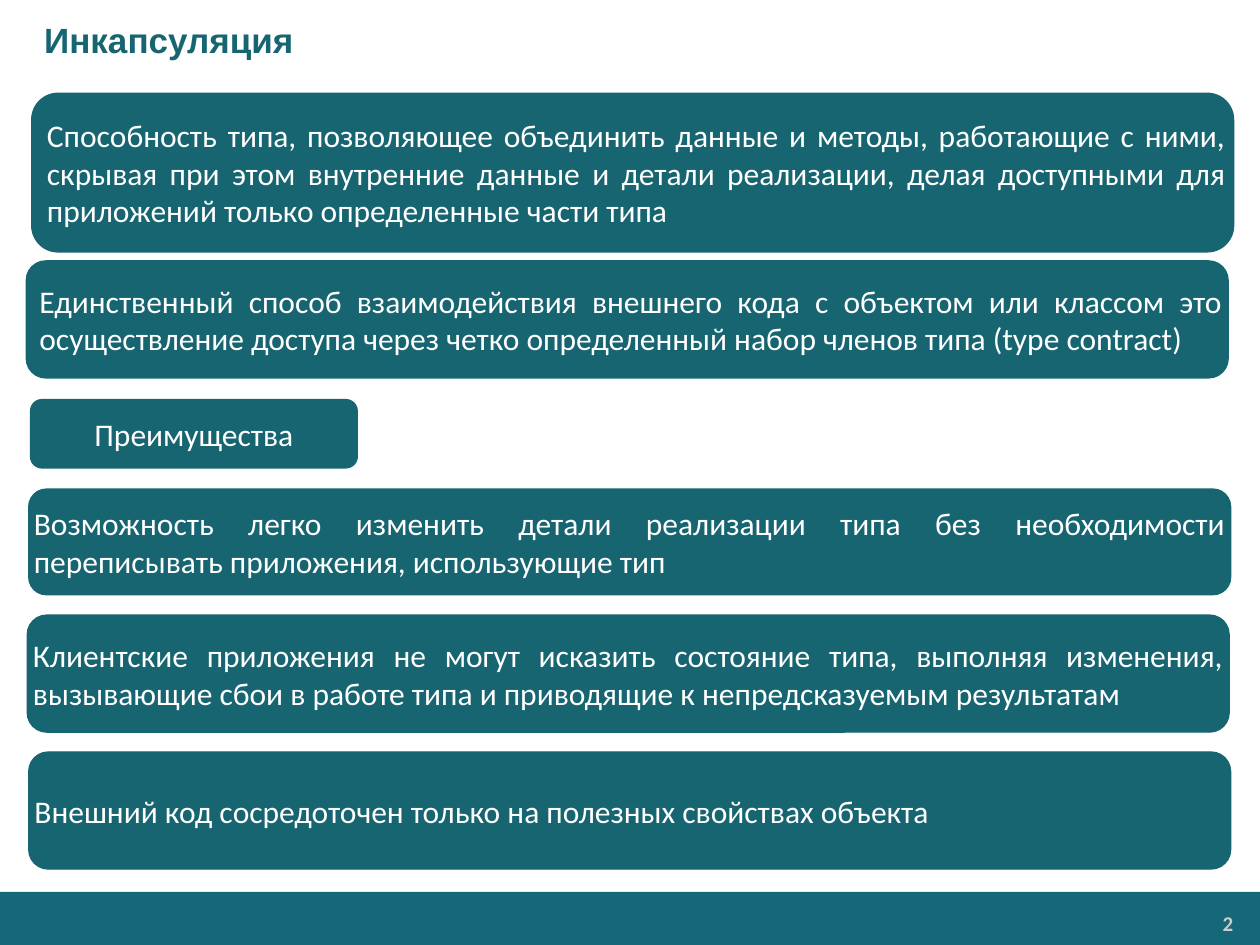
from pptx import Presentation
from pptx.dml.color import RGBColor
from pptx.enum.shapes import MSO_SHAPE as Shape
from pptx.enum.text import MSO_ANCHOR as Anchor, PP_ALIGN as Align
from pptx.util import Cm, Pt

COLORS = {"panel": "176571", "footer": "146878", "text": "FFFFFF", "number": "CCCCCC"}
MARGINS = ("margin_left", "margin_top", "margin_right", "margin_bottom")


def add_panel(page, shape_type, bounds, color, line_width=None):
    panel = page.shapes.add_shape(shape_type, *(Cm(value) for value in bounds))
    panel.shadow.inherit = False
    panel.fill.solid()
    panel.fill.fore_color.rgb = RGBColor.from_string(COLORS[color])
    if line_width:
        panel.line.color.rgb = RGBColor.from_string(COLORS[color])
        panel.line.width = Pt(line_width)
    else:
        panel.line.fill.background()
    return panel


def write(box, text, align, color, size, margins, name="Calibri", bold=False, indent=0):
    frame = box.text_frame
    frame.word_wrap = True
    frame.vertical_anchor = Anchor.MIDDLE
    for side, value in zip(MARGINS, margins):
        setattr(frame, side, Cm(value))
    para = frame.paragraphs[0]
    para.alignment = align
    properties = para._p.get_or_add_pPr()
    properties.set("marL", str(Cm(indent)))
    properties.set("indent", "0")
    span = para.add_run()
    span.text = text
    for key, value in {"name": name, "size": Pt(size), "bold": bold}.items():
        setattr(span.font, key, value)
    span.font.color.rgb = RGBColor.from_string(COLORS[color])


deck = Presentation()
deck.slide_width, deck.slide_height = Cm(25.4), Cm(19.05)
page = deck.slides.add_slide(deck.slide_layouts[5])

# Title
title = page.shapes.title
title.left, title.top, title.width, title.height = Cm(0), Cm(0), Cm(25.4), Cm(1.6)
write(title, "Инкапсуляция", Align.LEFT, "panel", 20, (0.25, 0.13, 0.25, 0.13),
      name="Arial", bold=True, indent=0.64)

# Footer band and page number
add_panel(page, Shape.RECTANGLE, (0, 17.98, 25.4, 1.07), "footer")
number = page.shapes.add_textbox(Cm(20.9), Cm(18.26), Cm(4.14), Cm(0.71))
write(number, "2", Align.RIGHT, "number", 12, (0.18, 0.1, 0.18, 0.1), bold=True)

# Statements: left, top, width, height, line width, alignment, indent, text
WIDE = 24.23
STATEMENTS = [
    (0.64, 1.88, WIDE, 3.2, 0.75, Align.JUSTIFY, 0.15,
     "Способность типа, позволяющее объединить данные и методы, работающие с ними, "
     "скрывая при этом внутренние данные и детали реализации, делая доступными для "
     "приложений только определенные части типа"),
    (0.53, 5.26, WIDE, 2.36, 0.75, Align.JUSTIFY, 0.15,
     "Единственный способ взаимодействия внешнего кода с объектом или классом это "
     "осуществление доступа через четко определенный набор членов типа (type contract)"),
    (0.62, 8.06, 6.58, 1.37, 1, Align.CENTER, 0, "Преимущества"),
    (0.58, 9.86, WIDE, 2.13, 0.75, Align.JUSTIFY, 0,
     "Возможность легко изменить детали реализации типа без необходимости "
     "переписывать приложения, использующие тип"),
    (0.55, 12.4, WIDE, 2.36, 0.75, Align.JUSTIFY, 0,
     "Клиентские приложения не могут исказить состояние типа, выполняя изменения, "
     "вызывающие сбои в работе типа и приводящие к непредсказуемым результатам"),
    (0.58, 15.16, WIDE, 2.36, 0.75, Align.JUSTIFY, 0,
     "Внешний код сосредоточен только на полезных свойствах объекта"),
]
for *bounds, line_width, align, indent, text in STATEMENTS:
    panel = add_panel(page, Shape.ROUNDED_RECTANGLE, bounds, "panel", line_width)
    write(panel, text, align, "text", 18, (0, 0, 0, 0), indent=indent)

deck.save("out.pptx")
